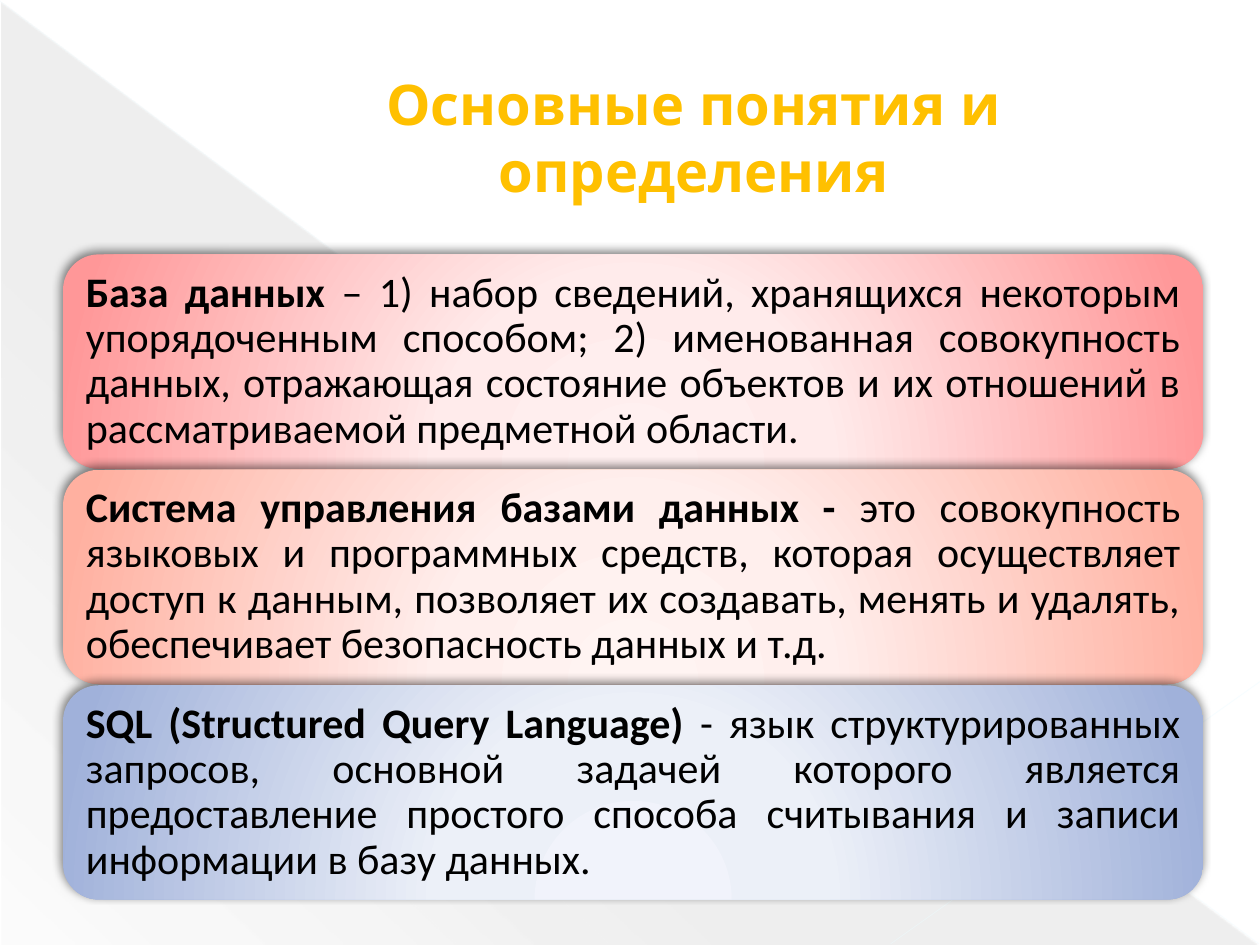
from dataclasses import dataclass

from lxml.etree import SubElement
from pptx import Presentation
from pptx.dml.color import RGBColor
from pptx.enum.shapes import MSO_CONNECTOR as Connector, MSO_SHAPE as Shape
from pptx.enum.text import MSO_ANCHOR as Anchor, PP_ALIGN as Align
from pptx.oxml.ns import qn
from pptx.util import Pt


@dataclass(frozen=True)
class Theme:
    title_font: str = "League Spartan"
    body_font: str = "Calibri"
    title_size: int = 32
    body_size: int = 24
    title: str = "FFC000"
    text: str = "000000"
    shadow: str = "000000"
    wedge: str = "464646"
    long_line: str = "EBFBFF"
    short_line: str = "EDFCFF"
    red: tuple = ("FFF0F0", "FFEBEB", "FF9798")
    orange: tuple = ("FFF4F2", "FFEFED", "FFB0A0")
    blue: tuple = ("F1F3FB", "ECF0F8", "A0B1DA")


THEME = Theme()

DEFINITIONS = [
    ("База данных ",
     "– 1) набор сведений, хранящихся некоторым упорядоченным способом; "
     "2) именованная совокупность данных, отражающая состояние объектов "
     "и их отношений в рассматриваемой предметной области.",
     THEME.red),
    ("Система управления базами данных - ",
     "это совокупность языковых и программных средств, которая осуществляет "
     "доступ к данным, позволяет их создавать, менять и удалять, "
     "обеспечивает безопасность данных и т.д.",
     THEME.orange),
    ("SQL (Structured Query Language) ",
     "- язык структурированных запросов, основной задачей которого является "
     "предоставление простого способа считывания и записи информации "
     "в базу данных.",
     THEME.blue),
]


def add_node(parent, tag, **attributes):
    values = {name: str(value) for name, value in attributes.items()}
    return SubElement(parent, qn(tag), values)


def add_color(parent, color, opacity):
    node = add_node(parent, "a:srgbClr", val=color)
    if opacity < 100:
        add_node(node, "a:alpha", val=opacity * 1000)


def add_gradient(shape, stops):
    properties = shape.element.spPr
    gradient = add_node(properties, "a:gradFill", rotWithShape=1)
    stop_list = add_node(gradient, "a:gsLst")
    for position, color, opacity in stops:
        stop = add_node(stop_list, "a:gs", pos=position * 1000)
        add_color(stop, color, opacity)
    properties.find(qn("a:prstGeom")).addnext(gradient)
    return gradient


def add_wedge(slide):
    shape = slide.shapes.add_shape(
        Shape.RIGHT_TRIANGLE, Pt(0.7), Pt(1.4), Pt(718.6), Pt(538.6))
    shape.shadow.inherit = False
    shape.line.fill.background()
    stops = [(0, THEME.wedge, 10), (70, THEME.wedge, 8), (100, THEME.wedge, 1)]
    gradient = add_gradient(shape, stops)
    add_node(gradient, "a:lin", ang=133 * 60000, scaled=1)


def add_line(slide, start, end, color, width, opacity):
    line = slide.shapes.add_connector(
        Connector.STRAIGHT, *map(Pt, start), *map(Pt, end))
    line.line.width = Pt(width)
    line.line.color.rgb = RGBColor.from_string(color)
    color_node = line.element.spPr.find(".//" + qn("a:srgbClr"))
    add_node(color_node, "a:alpha", val=opacity * 1000)
    add_node(line.element.spPr, "a:effectLst")


def add_text(slide, box, inset, align, font_name, size, color, runs):
    text_box = slide.shapes.add_textbox(*map(Pt, box))
    frame = text_box.text_frame
    frame.word_wrap = True
    frame.vertical_anchor = Anchor.MIDDLE
    frame.margin_left = frame.margin_right = Pt(7.2)
    frame.margin_top = frame.margin_bottom = Pt(inset)
    paragraph = frame.paragraphs[0]
    paragraph.alignment = align
    paragraph.font.name = font_name
    paragraph.font.size = Pt(size)
    paragraph.font.color.rgb = RGBColor.from_string(color)
    for text, bold in runs:
        run = paragraph.add_run()
        run.text = text
        run.font.bold = bold
    return paragraph


def add_title(slide, text):
    paragraph = add_text(
        slide, (105.1, 28.8, 544.3, 98.6), 3.6, Align.CENTER,
        THEME.title_font, THEME.title_size, THEME.title, [(text, True)])
    paragraph._p.get_or_add_pPr().set("marL", str(Pt(38.2)))


def add_panel(slide, box, colors):
    shape = slide.shapes.add_shape(Shape.ROUNDED_RECTANGLE, *map(Pt, box))
    shape.line.fill.background()
    stops = [(position, color, 100)
             for position, color in zip((0, 34, 100), colors)]
    gradient = add_gradient(shape, stops)
    circle = add_node(gradient, "a:path", path="circle")
    add_node(circle, "a:fillToRect", l=50000, t=155000, r=50000, b=-55000)
    shape.shadow.inherit = False
    effects = shape.element.spPr.find(qn("a:effectLst"))
    shadow = add_node(effects, "a:outerShdw", blurRad=Pt(5), dist=Pt(2),
                      dir=245 * 60000, rotWithShape=0)
    add_color(shadow, THEME.shadow, 50)


def add_definition(slide, top, term, meaning, colors):
    left, width, height, inset = 36, 651.6, 122.4, 6
    add_panel(slide, (left, top, width, height), colors)
    text_area = (left + inset, top + inset,
                 width - 2 * inset, height - 2 * inset)
    paragraph = add_text(
        slide, text_area, 7.2, Align.JUSTIFY, THEME.body_font,
        THEME.body_size, THEME.text, [(term, True), (meaning, False)])
    paragraph.line_spacing = 0.9


def main():
    presentation = Presentation()
    presentation.slide_width = Pt(720)
    presentation.slide_height = Pt(540)
    slide = presentation.slides.add_slide(presentation.slide_layouts[6])
    add_wedge(slide)
    add_line(slide, (0, 0.7), (719.3, 539.3), THEME.long_line, 0.39, 35)
    add_line(slide, (720, 389.5), (509, 539.3), THEME.short_line, 0.47, 45)
    add_title(slide, "Основные понятия и определения")
    for index, definition in enumerate(DEFINITIONS):
        add_definition(slide, 145.4 + index * 123.1, *definition)
    presentation.save("out.pptx")


if __name__ == "__main__":
    main()
